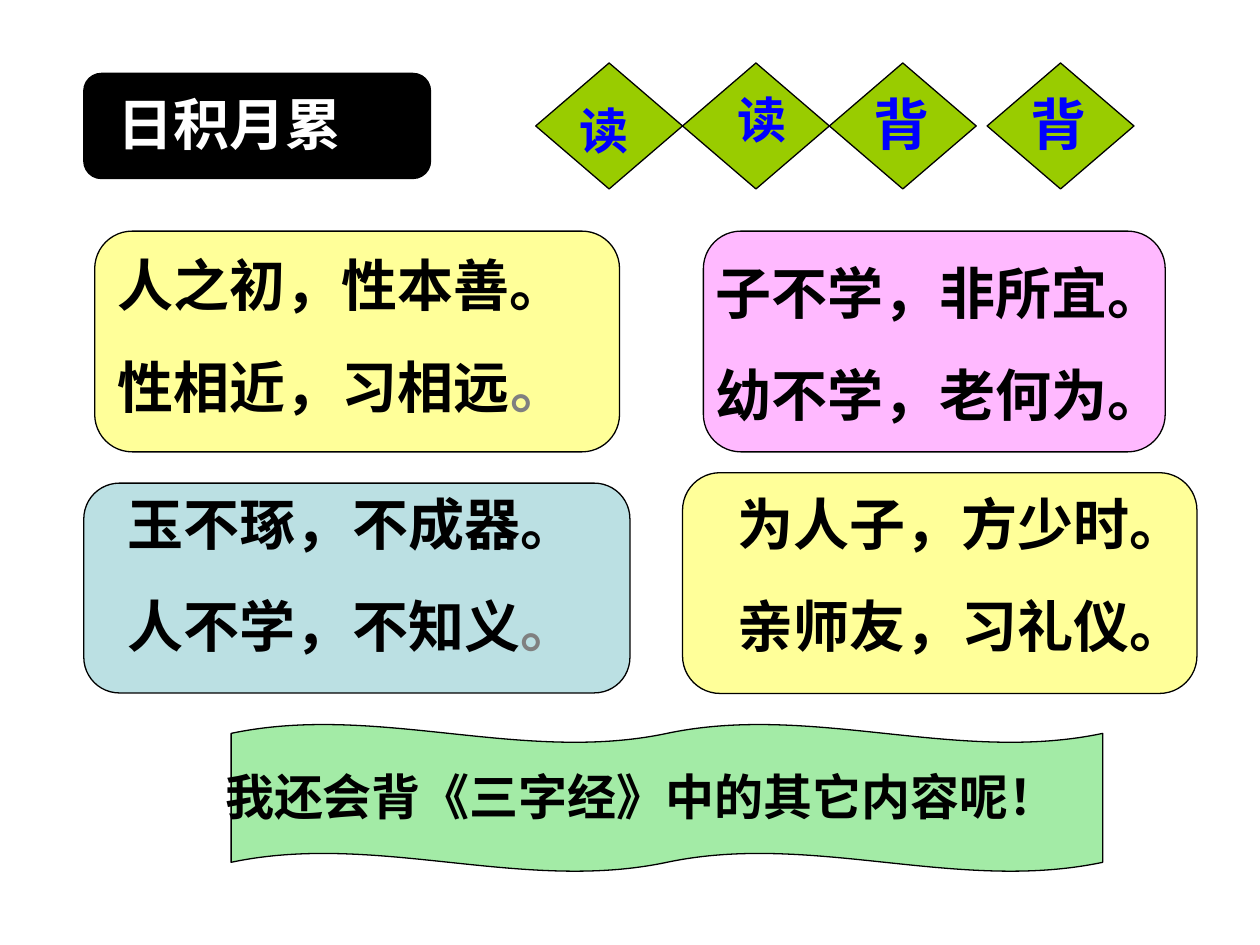
from pptx import Presentation
from pptx import util as u
from pptx.dml.color import RGBColor
from pptx.enum import shapes

HUES = {"black": "000000", "white": "FFFFFF", "lime": "99CC00", "blue": "0000FF",
        "cream": "FFFF99", "pink": "FFB9FF", "teal": "BBE0E3", "green": "A3EBA6",
        "gray": "808080"}
KIND = shapes.MSO_SHAPE

TITLE = "日积月累"
GEMS = [
    (10.8, "读", 28, (11.43, 1.91)),
    (13.76, "读", 28, (14.61, 1.69)),
    (16.72, "背", 32, (17.36, 1.69)),
    (19.9, "背", 32, (20.53, 1.69)),
]
CARDS = [
    ("cream", (1.91, 4.66, 10.58, 4.45), (2.12, 4.92),
     [["人之初，性本善。"], ["性相近，习相远", "。"]]),
    ("pink", (14.18, 4.66, 9.31, 4.45), (14.18, 5.08),
     [["子不学，非所宜。"], ["幼不学，老何为。"]]),
    ("teal", (1.69, 9.74, 11.01, 4.23), (2.33, 9.74),
     [["玉不琢，不成器。"], ["人不学，不知义", "。"]]),
    ("cream", (13.76, 9.53, 10.37, 4.45), (14.61, 9.74),
     [["为人子，方少时。"], ["亲师友，习礼仪。"]]),
]
CLOSE = "我还会背《三字经》中的其它内容呢！"

deck = Presentation()
deck.slide_width, deck.slide_height = u.Cm(25.4), u.Cm(19.05)
slide = deck.slides.add_slide(deck.slide_layouts[6])


def tint(name):
    return RGBColor.from_string(HUES[name])


def block(kind, box, fill):
    shape = slide.shapes.add_shape(kind, *map(u.Cm, box))
    shape.shadow.inherit = False
    shape.fill.solid()
    shape.fill.fore_color.rgb = tint(fill)
    shape.line.color.rgb = tint("black")
    shape.line.width = u.Pt(0.75)
    return shape


def write(lines, box, size=32, hue="black", tail="gray"):
    frame = slide.shapes.add_textbox(*map(u.Cm, box)).text_frame
    frame.word_wrap = True
    for row, parts in enumerate(lines):
        para = frame.add_paragraph() if row else frame.paragraphs[0]
        if row:
            para.space_before = u.Pt(20)
        for part, name in zip(parts, (hue, tail)):
            run = para.add_run()
            run.text = part
            run.font.name = "Arial"
            run.font.size = u.Pt(size)
            run.font.bold = True
            run.font.color.rgb = tint(name)


block(KIND.FLOWCHART_ALTERNATE_PROCESS, (1.69, 1.48, 6.99, 2.12), "black")
write([[TITLE]], (2.12, 1.69, 6.35, 1.62), hue="white")

for left, _, _, _ in GEMS:
    block(KIND.FLOWCHART_DECISION, (left, 1.27, 2.96, 2.54), "lime")
for _, word, size, spot in GEMS:
    write([[word]], (*spot, 2.33, 1.5), size=size, hue="blue")

for fill, box, spot, lines in CARDS:
    card = block(KIND.ROUNDED_RECTANGLE, box, fill)
    card.adjustments[0] = 0.17
    write(lines, (*spot, 10.2, 3.68))

block(KIND.DOUBLE_WAVE, (4.66, 14.6, 17.57, 2.97), "green")
write([[CLOSE]], (4.29, 15.32, 18.01, 1.45), size=28)

deck.save("out.pptx")
